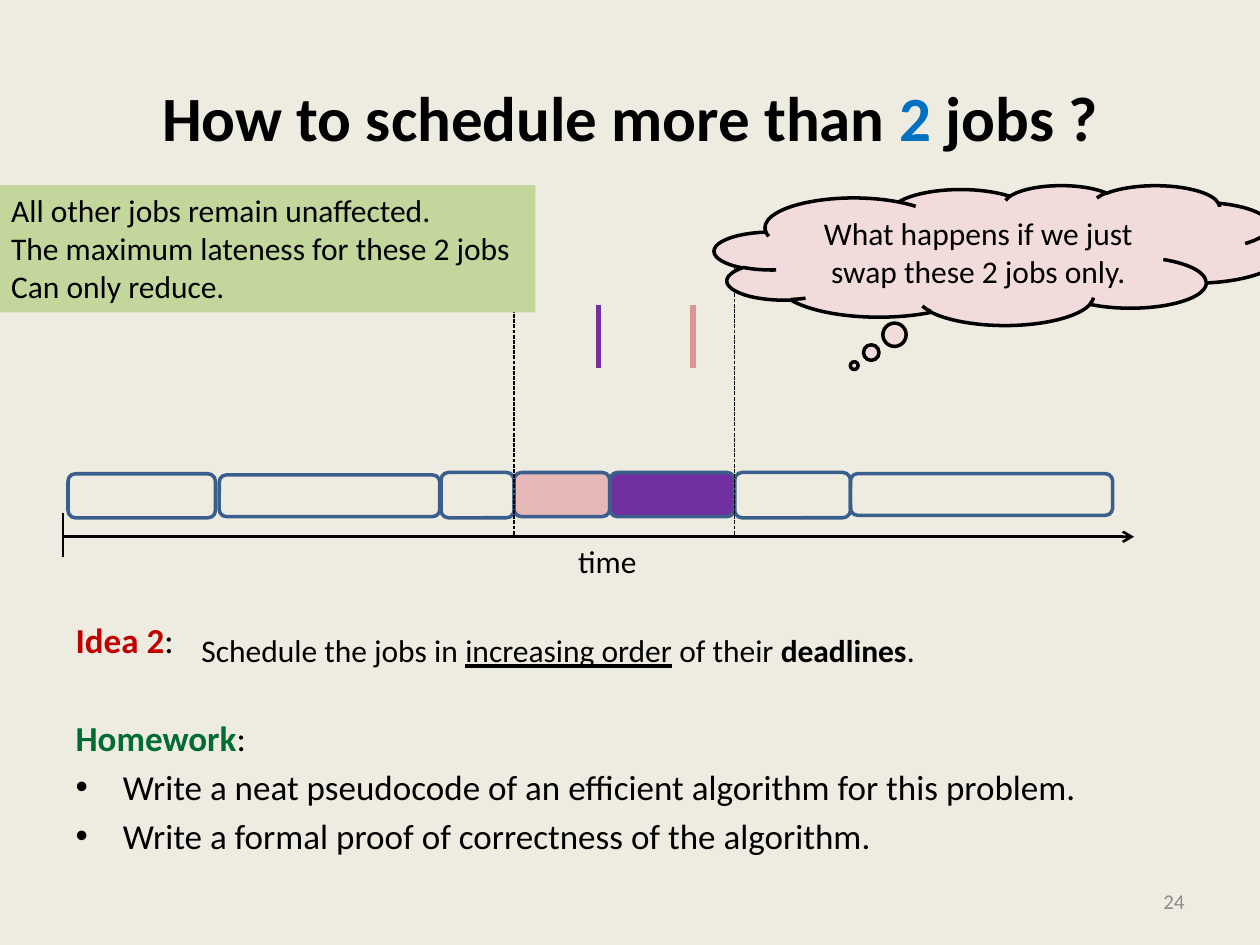
from pptx import Presentation
from pptx.dml.color import RGBColor
from pptx.enum.dml import MSO_LINE
from pptx.enum.shapes import MSO_CONNECTOR, MSO_SHAPE
from pptx.enum.text import MSO_ANCHOR, MSO_AUTO_SIZE, PP_ALIGN
from pptx.oxml.ns import qn
from pptx.util import Inches, Pt
from lxml.etree import SubElement

FONT = "Calibri"
CREAM = RGBColor(0xEE, 0xEC, 0xE1)
BLACK = RGBColor(0, 0, 0)
GRAY = RGBColor(0x8C, 0x8C, 0x8C)
BLUE = RGBColor(0x00, 0x70, 0xC0)
RED = RGBColor(0xC0, 0x00, 0x00)
GREEN = RGBColor(0x00, 0x6C, 0x31)
OUTLINE = RGBColor(0x3A, 0x5F, 0x8C)
PURPLE = RGBColor(0x70, 0x30, 0xA0)
PINK = RGBColor(0xE6, 0xB9, 0xB8)
ROSE = RGBColor(0xD9, 0x96, 0x94)
PALE_PINK = RGBColor(0xF2, 0xDC, 0xDB)
LIGHT_GREEN = RGBColor(0xC3, 0xD6, 0x9B)

JOBS = [
    (0.54, 3.76, 1.17, 0.35, None),
    (6.75, 3.76, 2.08, 0.33, None),
    (1.74, 3.77, 1.75, 0.33, None),
    (3.5, 3.75, 0.58, 0.36, None),
    (4.84, 3.75, 0.99, 0.35, PURPLE),
    (4.08, 3.75, 0.76, 0.35, PINK),
    (5.83, 3.75, 0.92, 0.36, None),
]


def place(shape, x, y, w, h):
    shape.left, shape.top = Inches(x), Inches(y)
    shape.width, shape.height = Inches(w), Inches(h)


def write(p, runs, size, color=BLACK, align=None):
    p.alignment = align
    for text, style in runs:
        r = p.add_run()
        r.text = text
        r.font.name = FONT
        r.font.size = Pt(size)
        r.font.bold = style.get("bold", False)
        r.font.underline = style.get("underline", False)
        r.font.color.rgb = style.get("color", color)


def add_text(s, x, y, w, h, runs, size=18, color=BLACK, align=PP_ALIGN.LEFT,
             anchor=MSO_ANCHOR.TOP):
    tf = s.shapes.add_textbox(Inches(x), Inches(y), Inches(w), Inches(h)).text_frame
    tf.word_wrap = False
    tf.vertical_anchor = anchor
    write(tf.paragraphs[0], runs, size, color, align)


def add_box(s, kind, x, y, w, h, fill=None, line=None):
    sp = s.shapes.add_shape(kind, Inches(x), Inches(y), Inches(w), Inches(h))
    sp.shadow.inherit = False
    if fill is None:
        sp.fill.background()
    else:
        sp.fill.solid()
        sp.fill.fore_color.rgb = fill
    if line is None:
        sp.line.fill.background()
    else:
        sp.line.color.rgb = line
        sp.line.width = Pt(2)
    return sp


def add_line(s, x1, y1, x2, y2, width, color=BLACK, dash=None, arrow=False):
    c = s.shapes.add_connector(MSO_CONNECTOR.STRAIGHT, Inches(x1), Inches(y1),
                               Inches(x2), Inches(y2))
    c.line.color.rgb = color
    c.line.width = Pt(width)
    if dash:
        c.line.dash_style = dash
    if arrow:
        SubElement(c.line._get_or_add_ln(), qn("a:tailEnd"), type="arrow")
    SubElement(c._element.spPr, qn("a:effectLst"))


def add_title(s):
    title = s.shapes.title
    place(title, 0.5, 0.3, 9, 1.25)
    write(title.text_frame.paragraphs[0],
          [("How to schedule more than ", {"bold": True}),
           ("2", {"bold": True, "color": BLUE}),
           (" jobs ?", {"bold": True})], 36, align=PP_ALIGN.CENTER)


def add_body(s):
    body = s.placeholders[1]
    place(body, 0.5, 4.86, 9, 1.84)
    tf = body.text_frame
    tf.auto_size = MSO_AUTO_SIZE.NONE
    items = [
        ([("Idea 2", {"bold": True, "color": RED}), (":", {})], False, 0),
        ([("Homework", {"bold": True, "color": GREEN}), (":", {})], False, 32),
        ([("Write a neat pseudocode of an efficient algorithm for this problem.", {})],
         True, 4),
        ([("Write a formal proof of correctness of the algorithm.", {})], True, 4),
    ]
    for i, (runs, bullet, before) in enumerate(items):
        p = tf.add_paragraph() if i else tf.paragraphs[0]
        if not bullet:
            pPr = p._p.get_or_add_pPr()
            pPr.set("marL", "0")
            pPr.set("indent", "0")
            SubElement(pPr, qn("a:buNone"))
        p.space_before = Pt(before)
        write(p, runs, 20)


def add_timeline(s):
    for x, y, w, h, fill in JOBS:
        add_box(s, MSO_SHAPE.ROUNDED_RECTANGLE, x, y, w, h, fill, OUTLINE)
    for x in (4.08, 5.83):
        add_line(s, x, 1.92, x, 4.26, 0.75, dash=MSO_LINE.SQUARE_DOT)
    add_line(s, 0.5, 4.26, 9, 4.26, 1.5, arrow=True)
    add_line(s, 0.5, 4.07, 0.5, 4.42, 1.5)
    add_text(s, 4.49, 4.25, 0.67, 0.4, [("time", {})])
    for x, color in ((5.5, ROSE), (4.75, PURPLE)):
        add_line(s, x, 2.42, x, 2.92, 3, color)


def add_cloud(s):
    cloud = add_box(s, MSO_SHAPE.CLOUD_CALLOUT, 5.67, 1.47, 4.51, 1.11, PALE_PINK, BLACK)
    cloud.adjustments[0] = -0.254
    cloud.adjustments[1] = 0.79
    tf = cloud.text_frame
    tf.vertical_anchor = MSO_ANCHOR.MIDDLE
    write(tf.paragraphs[0], [("What happens if we just swap these 2 jobs only.", {})],
          18, align=PP_ALIGN.CENTER)


def add_note(s):
    tf = add_box(s, MSO_SHAPE.RECTANGLE, -0.01, 1.47, 4.26, 1.01, LIGHT_GREEN).text_frame
    tf.vertical_anchor = MSO_ANCHOR.TOP
    lines = ["All other jobs remain unaffected.",
             "The maximum lateness for these 2 jobs",
             "Can only reduce."]
    for i, line in enumerate(lines):
        p = tf.add_paragraph() if i else tf.paragraphs[0]
        write(p, [(line, {})], 18, align=PP_ALIGN.LEFT)


def main():
    prs = Presentation()
    prs.slide_width, prs.slide_height = Inches(10), Inches(7.5)
    s = prs.slides.add_slide(prs.slide_layouts[1])
    s.background.fill.solid()
    s.background.fill.fore_color.rgb = CREAM
    add_title(s)
    add_body(s)
    add_text(s, 7.17, 6.95, 2.33, 0.4, [("24", {})], 12, GRAY, PP_ALIGN.RIGHT,
             MSO_ANCHOR.MIDDLE)
    add_timeline(s)
    add_cloud(s)
    add_note(s)
    add_text(s, 1.5, 4.96, 5.92, 0.4,
             [("Schedule the jobs in ", {}), ("increasing order", {"underline": True}),
              (" of their ", {}), ("deadlines", {"bold": True}), (".", {})])
    prs.save("out.pptx")


if __name__ == "__main__":
    main()
